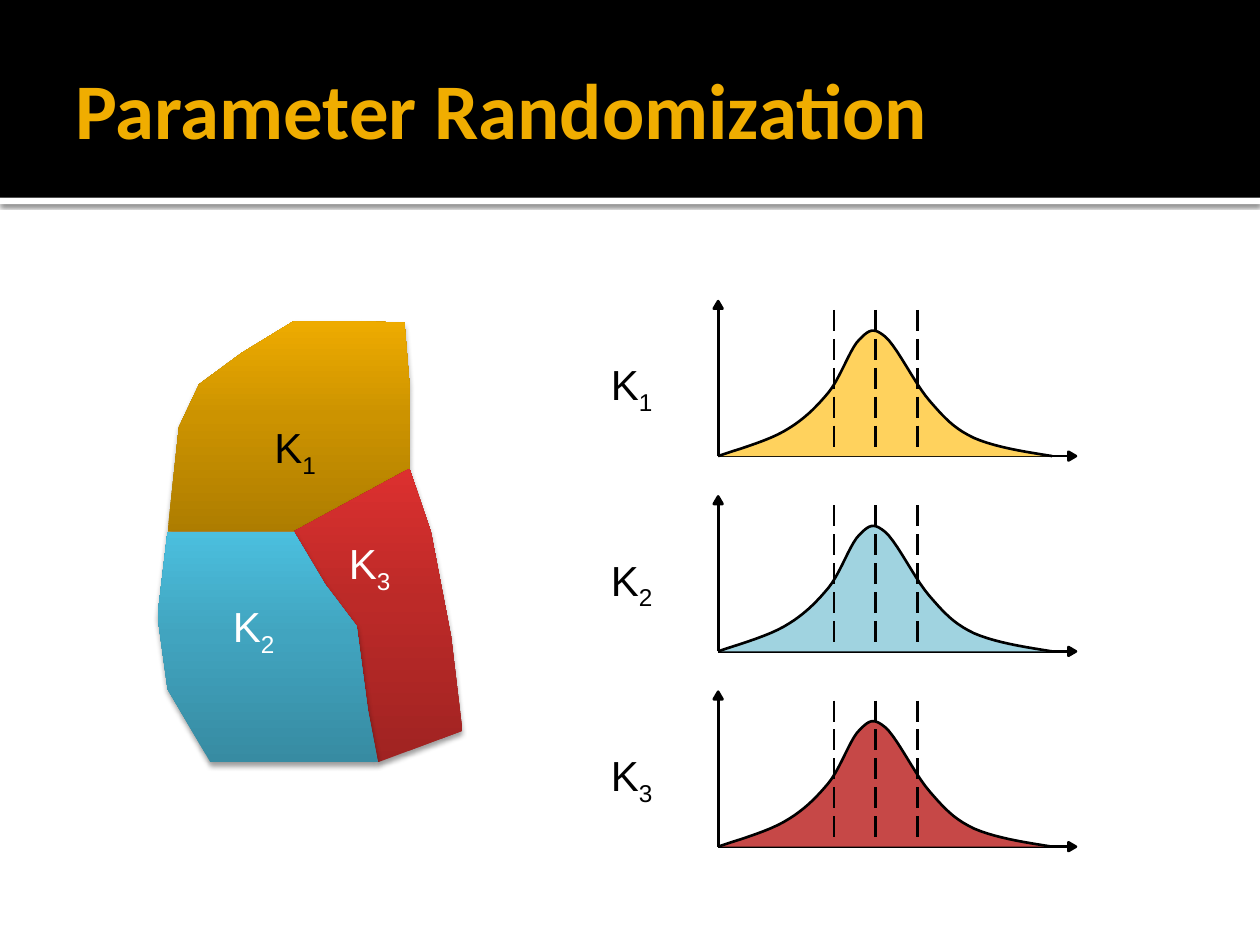
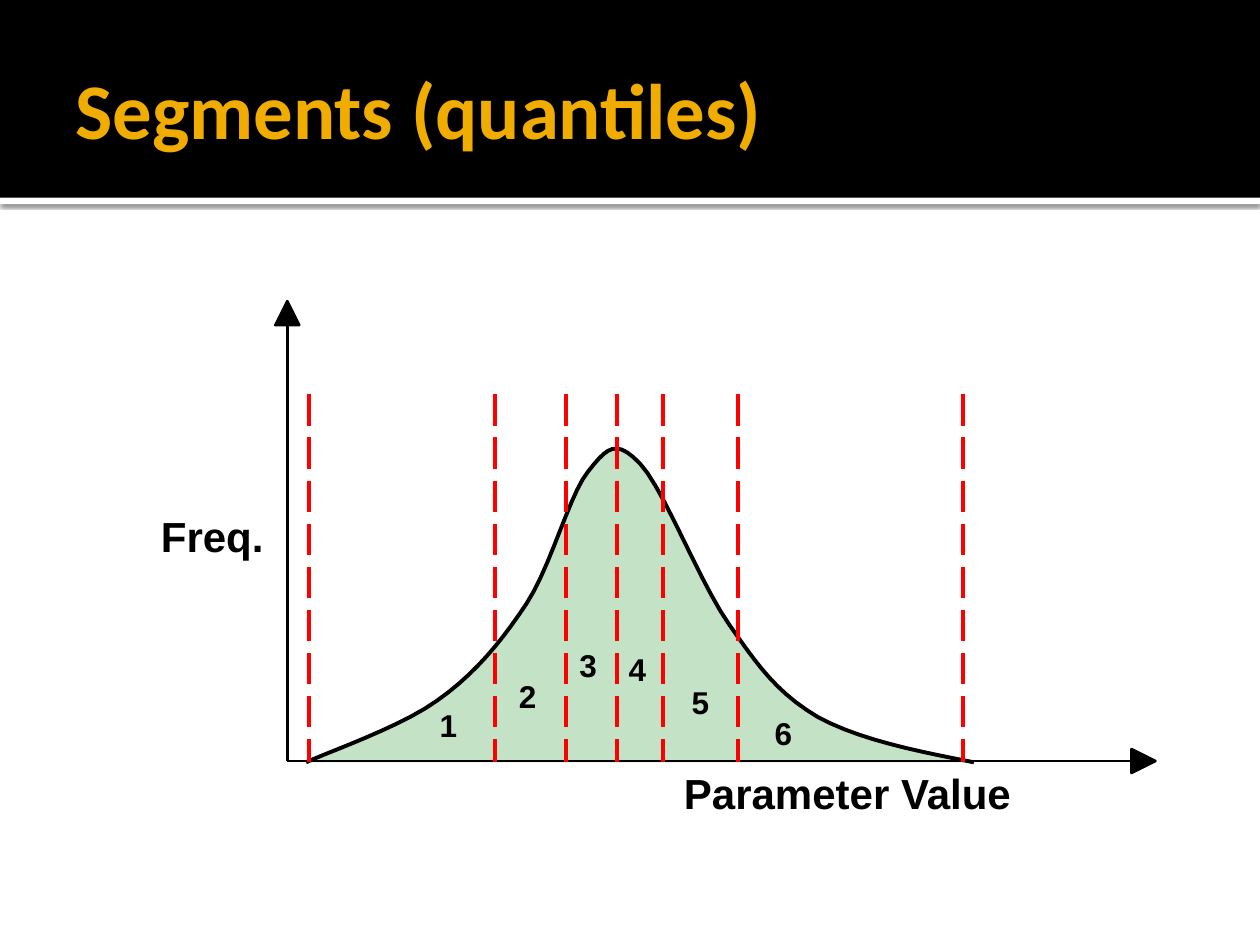
from lxml import etree
from pptx import Presentation
from pptx.dml.color import RGBColor
from pptx.enum.dml import MSO_LINE
from pptx.enum.shapes import MSO_CONNECTOR, MSO_SHAPE
from pptx.enum.text import MSO_ANCHOR, PP_ALIGN
from pptx.oxml.ns import qn
from pptx.util import Inches, Pt

STRAIGHT = MSO_CONNECTOR.STRAIGHT
RECTANGLE = MSO_SHAPE.RECTANGLE
LONG_DASH = MSO_LINE.LONG_DASH
MIDDLE, TOP = MSO_ANCHOR.MIDDLE, MSO_ANCHOR.TOP
LEFT, RIGHT = PP_ALIGN.LEFT, PP_ALIGN.RIGHT

BLACK = RGBColor(0x00, 0x00, 0x00)
WHITE = RGBColor(0xFF, 0xFF, 0xFF)
GOLD = RGBColor(0xF0, 0xAD, 0x00)
RED = RGBColor(0xFF, 0x00, 0x00)
GREEN = RGBColor(0xC4, 0xE2, 0xC5)
PALE_GOLD = RGBColor(0xFF, 0xD2, 0x5D)
PALE_BLUE = RGBColor(0xA0, 0xD3, 0xE0)
BRICK = RGBColor(0xC6, 0x48, 0x47)
GOLD_SHADES = ("AE7D00", "CC9300", "EEAB00")
RED_SHADES = ("A02322", "BC2A28", "DC302F")
BLUE_SHADES = ("378BA2", "41A4BF", "4BBFDE")
SHADE_STOPS = (0, 55, 100)

BAND_SHADOW = {"alpha": 60, "blur": 2.5, "distance": 0.8}
ZONE_SHADOW = {"alpha": 38, "blur": 3.1, "distance": 2}

TITLES = ("Parameter Randomization", "Segments (quantiles)")

ZONES = [
    {"index": "1", "shades": GOLD_SHADES, "color": BLACK, "label_at": (2.08, 3.3),
     "outline": [(2.83, 2.55), (2.33, 2.55), (1.92, 2.8), (1.58, 3.05), (1.42, 3.39),
                 (1.33, 4.22), (2.33, 4.22), (3.25, 3.72), (3.25, 3.05), (3.21, 2.56)]},
    {"index": "3", "shades": RED_SHADES, "color": WHITE, "label_at": (2.67, 4.22),
     "outline": [(3.25, 3.72), (2.33, 4.22), (2.58, 4.64), (2.83, 4.97), (2.92, 5.64),
                 (3, 6.05), (3.67, 5.8), (3.58, 5.05), (3.42, 4.22)]},
    {"index": "2", "shades": BLUE_SHADES, "color": WHITE, "label_at": (1.75, 4.72),
     "outline": [(1.33, 4.22), (1.25, 4.89), (1.33, 5.47), (1.67, 6.05), (3, 6.05),
                 (2.92, 5.64), (2.83, 4.97), (2.58, 4.64), (2.33, 4.22)]},
]

DISTRIBUTIONS = [("1", PALE_GOLD), ("2", PALE_BLUE), ("3", BRICK)]
FIRST_BASELINE, DISTRIBUTION_PITCH = 3.62, 1.55
SMALL_ORIGIN_X = 5.7
SMALL_QUANTILES = (6.62, 6.95, 7.28)

BELL_START = (0, 0)
BELL_CURVES = [
    ((0.17, 0.08), (0.75, 0.28), (1.04, 0.49)),
    ((1.34, 0.7), (1.55, 0.96), (1.75, 1.26)),
    ((1.95, 1.57), (2.09, 2.13), (2.24, 2.31)),
    ((2.39, 2.5), (2.46, 2.57), (2.65, 2.37)),
    ((2.84, 2.17), (3.12, 1.43), (3.36, 1.09)),
    ((3.59, 0.76), (3.74, 0.55), (4.06, 0.36)),
    ((4.39, 0.18), (4.84, 0.09), (5.3, 0)),
]
BELL_STEPS = 10

SEGMENT_LIMITS = (2.45, 3.93, 4.49, 4.9, 5.26, 5.86, 7.64)
SEGMENT_LABELS = [("1", 3.39, 5.55), ("2", 4.02, 5.32), ("3", 4.5, 5.08),
                  ("4", 4.89, 5.11), ("5", 5.39, 5.37), ("6", 6.05, 5.62)]


def add_effects(shape, alpha, blur, distance):
    effects = shape._element.spPr.find(qn("a:effectLst"))
    shadow = etree.SubElement(effects, qn("a:outerShdw"), blurRad=str(Pt(blur)),
                              dist=str(Pt(distance)), dir="5400000", rotWithShape="0")
    color = etree.SubElement(shadow, qn("a:srgbClr"), val=str(BLACK))
    etree.SubElement(color, qn("a:alpha"), val=str(alpha * 1000))


def set_shades(shape, shades):
    shape.fill.gradient()
    shape.fill.gradient_angle = 90
    stops = shape._element.spPr.find(".//" + qn("a:gsLst"))
    for stop in list(stops):
        stops.remove(stop)
    for position, shade in zip(SHADE_STOPS, shades):
        stop = etree.SubElement(stops, qn("a:gs"), pos=str(position * 1000))
        etree.SubElement(stop, qn("a:srgbClr"), val=shade)


def add_text(slide, text, left, top, width, height, *, size=24, color=BLACK, bold=False,
             font="Arial", align=LEFT, anchor=TOP, subscript="", right_inset=0.1):
    box = slide.shapes.add_textbox(Inches(left), Inches(top), Inches(width), Inches(height))
    frame = box.text_frame
    frame.word_wrap = True
    frame.vertical_anchor = anchor
    frame.margin_right = Inches(right_inset)
    paragraph = frame.paragraphs[0]
    paragraph.alignment = align
    paragraph.font.size = Pt(size)
    for part in filter(None, (text, subscript)):
        run = paragraph.add_run()
        run.text = part
        run.font.size = Pt(size)
        run.font.name = font
        run.font.bold = bold
        run.font.color.rgb = color
    if subscript:
        run.font._element.set("baseline", "-25000")


def add_outline(slide, points, fill=None, weight=None, close=True):
    corners = [(Inches(x), Inches(y)) for x, y in points]
    builder = slide.shapes.build_freeform(*corners[0])
    builder.add_line_segments(corners[1:], close=close)
    outline = builder.convert_to_shape()
    outline.shadow.inherit = False
    if fill is not None:
        outline.fill.solid()
        outline.fill.fore_color.rgb = fill
    if weight:
        outline.line.color.rgb = BLACK
        outline.line.width = Pt(weight)
    else:
        outline.line.fill.background()
    return outline


def add_line(slide, start, end, color=BLACK, weight=1.5, dash=None):
    line = slide.shapes.add_connector(STRAIGHT, *map(Inches, start + end))
    line.line.color.rgb = color
    line.line.width = Pt(weight)
    if dash:
        line.line.dash_style = dash
    etree.SubElement(line._element.spPr, qn("a:effectLst"))


def add_axes(slide, origin, top, right, head_length, head_width):
    x, y = origin
    half = head_width / 2
    neck_y, neck_x = top + head_length, right - head_length
    add_line(slide, origin, (x, neck_y))
    add_outline(slide, [(x + half, neck_y), (x, top), (x - half, neck_y)], BLACK, 1.5)
    add_line(slide, origin, (neck_x, y))
    add_outline(slide, [(neck_x, y + half), (right, y), (neck_x, y - half)], BLACK, 1.5)


def add_bell(slide, left, baseline, fill, weight, scale_x=1, scale_y=1):
    points, start = [BELL_START], BELL_START
    for first, second, end in BELL_CURVES:
        for step in range(1, BELL_STEPS + 1):
            t = step / BELL_STEPS
            u = 1 - t
            points.append(tuple(
                u**3 * a + 3 * u * u * t * b + 3 * u * t * t * c + t**3 * d
                for a, b, c, d in zip(start, first, second, end)))
        start = end
    placed = [(left + x * scale_x, baseline - y * scale_y) for x, y in points]
    add_outline(slide, placed, fill, weight, close=False)


def add_titled_slide(deck, title):
    slide = deck.slides.add_slide(deck.slide_layouts[6])
    for top, height, color in ((1.57, 0.05, WHITE), (0, 1.57, BLACK)):
        band = slide.shapes.add_shape(RECTANGLE, 0, Inches(top), Inches(10), Inches(height))
        band.fill.solid()
        band.fill.fore_color.rgb = color
        band.line.fill.background()
        band.shadow.inherit = False
        if color == WHITE:
            add_effects(band, **BAND_SHADOW)
    add_text(slide, title, 0.5, 0.17, 9, 1.37, size=45, color=GOLD, bold=True,
             font="Calibri", anchor=MIDDLE, right_inset=0.05)
    return slide


def build_randomization(slide):
    for zone in ZONES:
        area = add_outline(slide, zone["outline"])
        set_shades(area, zone["shades"])
        add_effects(area, **ZONE_SHADOW)
        add_text(slide, "K", *zone["label_at"], 0.67, 0.5,
                 color=zone["color"], subscript=zone["index"])
    for row, (index, fill) in enumerate(DISTRIBUTIONS):
        baseline = FIRST_BASELINE + row * DISTRIBUTION_PITCH
        add_axes(slide, (SMALL_ORIGIN_X, baseline), baseline - 1.23, 8.54, 0.06, 0.07)
        add_bell(slide, SMALL_ORIGIN_X, baseline, fill, 1.5, 0.5, 0.4)
        for x in SMALL_QUANTILES:
            add_line(slide, (x, baseline - 1.16), (x, baseline - 0.04), dash=LONG_DASH)
        add_text(slide, "K", 4.75, baseline - 0.82, 0.67, 0.5, subscript=index)


def build_segments(slide):
    add_bell(slide, 2.43, 6.05, GREEN, 2.25)
    for number, left, top in SEGMENT_LABELS:
        add_text(slide, number, left, top, 0.53, 0.55, size=18, bold=True)
    add_text(slide, "Freq.", 0.42, 4, 1.77, 0.55, bold=True, align=RIGHT)
    add_text(slide, "Parameter Value", 5.33, 6.04, 3.42, 0.55, bold=True)
    add_axes(slide, (2.28, 6.04), 2.39, 9.17, 0.19, 0.19)
    for x in SEGMENT_LIMITS:
        add_line(slide, (x, 3.13), (x, 6.05), RED, 2.25, LONG_DASH)


def main():
    deck = Presentation()
    deck.slide_width, deck.slide_height = Inches(10), Inches(7.5)
    for title, build in zip(TITLES, (build_randomization, build_segments)):
        build(add_titled_slide(deck, title))
    deck.save("out.pptx")


if __name__ == "__main__":
    main()
